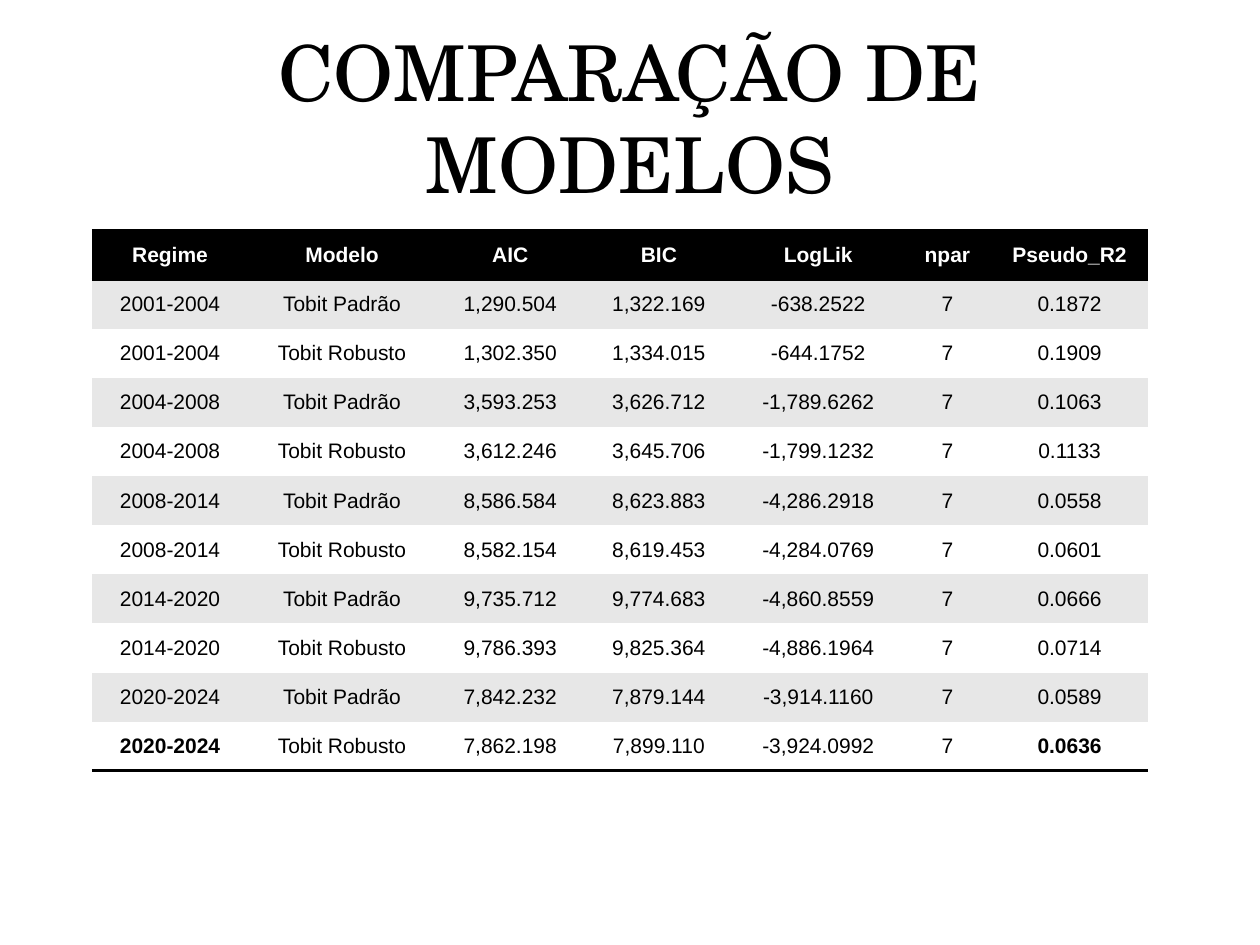
from dataclasses import dataclass

from lxml import etree
from pptx import Presentation
from pptx.dml.color import RGBColor as RGB
from pptx.enum.text import MSO_ANCHOR as ANCHOR, MSO_AUTO_SIZE as AUTO, PP_ALIGN as ALIGN
from pptx.oxml.ns import qn
from pptx.util import Inches, Pt


@dataclass(frozen=True)
class Theme:
    title_font: str = "TeX Gyre Schola"
    body_font: str = "Arial"
    title_size: int = 44
    body_size: int = 12
    rule_width: int = 2
    black: str = "000000"
    white: str = "FFFFFF"
    band: str = "E7E7E7"


theme = Theme()
NO_STYLE = "{2D5ABB26-0587-4C30-8999-92F81FD0307C}"

HEADER = ["Regime", "Modelo", "AIC", "BIC", "LogLik", "npar", "Pseudo_R2"]
COL_WIDTHS = [1.24, 1.49, 1.18, 1.18, 1.35, 0.7, 1.24]
ROW_HEIGHT = 0.39
MODELS = ["Tobit Padrão", "Tobit Robusto"]
NPAR = "7"
# AIC, BIC, LogLik and Pseudo_R2 for each model, by regime
RESULTS = {
    "2001-2004": [("1,290.504", "1,322.169", "-638.2522", "0.1872"),
                  ("1,302.350", "1,334.015", "-644.1752", "0.1909")],
    "2004-2008": [("3,593.253", "3,626.712", "-1,789.6262", "0.1063"),
                  ("3,612.246", "3,645.706", "-1,799.1232", "0.1133")],
    "2008-2014": [("8,586.584", "8,623.883", "-4,286.2918", "0.0558"),
                  ("8,582.154", "8,619.453", "-4,284.0769", "0.0601")],
    "2014-2020": [("9,735.712", "9,774.683", "-4,860.8559", "0.0666"),
                  ("9,786.393", "9,825.364", "-4,886.1964", "0.0714")],
    "2020-2024": [("7,842.232", "7,879.144", "-3,914.1160", "0.0589"),
                  ("7,862.198", "7,899.110", "-3,924.0992", "0.0636")],
}


def style_font(font, name, size, color, bold=False):
    font.name = name
    font.size = Pt(size)
    font.bold = bold
    font.color.rgb = RGB.from_string(color)


def add_rule(cell, side):
    """Draw a solid rule on one side (lnT or lnB) of a table cell."""
    tcPr = cell._tc.get_or_add_tcPr()
    ln = etree.SubElement(tcPr, qn(f"a:{side}"), w=str(Pt(theme.rule_width)))
    fill = etree.SubElement(ln, qn("a:solidFill"))
    etree.SubElement(fill, qn("a:srgbClr"), val=theme.black)


prs = Presentation()
prs.slide_width, prs.slide_height = Inches(10), Inches(7.5)
s = prs.slides.add_slide(prs.slide_layouts[5])

# Title
title = s.shapes.title
title.left, title.top = Inches(0.5), Inches(0.3)
title.width, title.height = Inches(9), Inches(1.25)
tf = title.text_frame
tf.text = "COMPARAÇÃO DE MODELOS"
tf.word_wrap = True
tf.auto_size = AUTO.NONE
tf.vertical_anchor = ANCHOR.MIDDLE
p = tf.paragraphs[0]
p.alignment = ALIGN.CENTER
style_font(p.runs[0].font, theme.title_font, theme.title_size, theme.black)

# Table rows: header, then one row per regime and model
rows = [HEADER]
for regime, results in RESULTS.items():
    for model, (aic, bic, loglik, r2) in zip(MODELS, results):
        rows.append([regime, model, aic, bic, loglik, NPAR, r2])
last_row, last_col = len(rows) - 1, len(HEADER) - 1

# Table grid
frame = s.shapes.add_table(len(rows), len(HEADER), Inches(0.73), Inches(1.83),
                           Inches(sum(COL_WIDTHS)), Inches(ROW_HEIGHT * len(rows)))
table = frame.table
table.horz_banding = False
table._tbl.tblPr.find(qn("a:tableStyleId")).text = NO_STYLE
for column, width in zip(table.columns, COL_WIDTHS):
    column.width = Inches(width)
for row in table.rows:
    row.height = Inches(ROW_HEIGHT)

# Table cells
for i, values in enumerate(rows):
    is_header = i == 0
    if is_header:
        fill, color = theme.black, theme.white
    else:
        fill, color = (theme.band if i % 2 else theme.white), theme.black
    for j, value in enumerate(values):
        cell = table.cell(i, j)
        cell.margin_left = cell.margin_right = cell.margin_top = cell.margin_bottom = 0
        cell.vertical_anchor = ANCHOR.MIDDLE

        # Rules above and below the header, and under the last row
        if is_header:
            add_rule(cell, "lnT")
        if i in (0, last_row):
            add_rule(cell, "lnB")
        cell.fill.solid()
        cell.fill.fore_color.rgb = RGB.from_string(fill)

        cell.text_frame.text = value
        p = cell.text_frame.paragraphs[0]
        p.alignment = ALIGN.CENTER
        pPr = p._p.get_or_add_pPr()
        for side in ("marL", "marR"):
            pPr.set(side, str(Inches(0.07)))
        bold = is_header or (i == last_row and j in (0, last_col))
        style_font(p.runs[0].font, theme.body_font, theme.body_size, color, bold)

prs.save("out.pptx")
